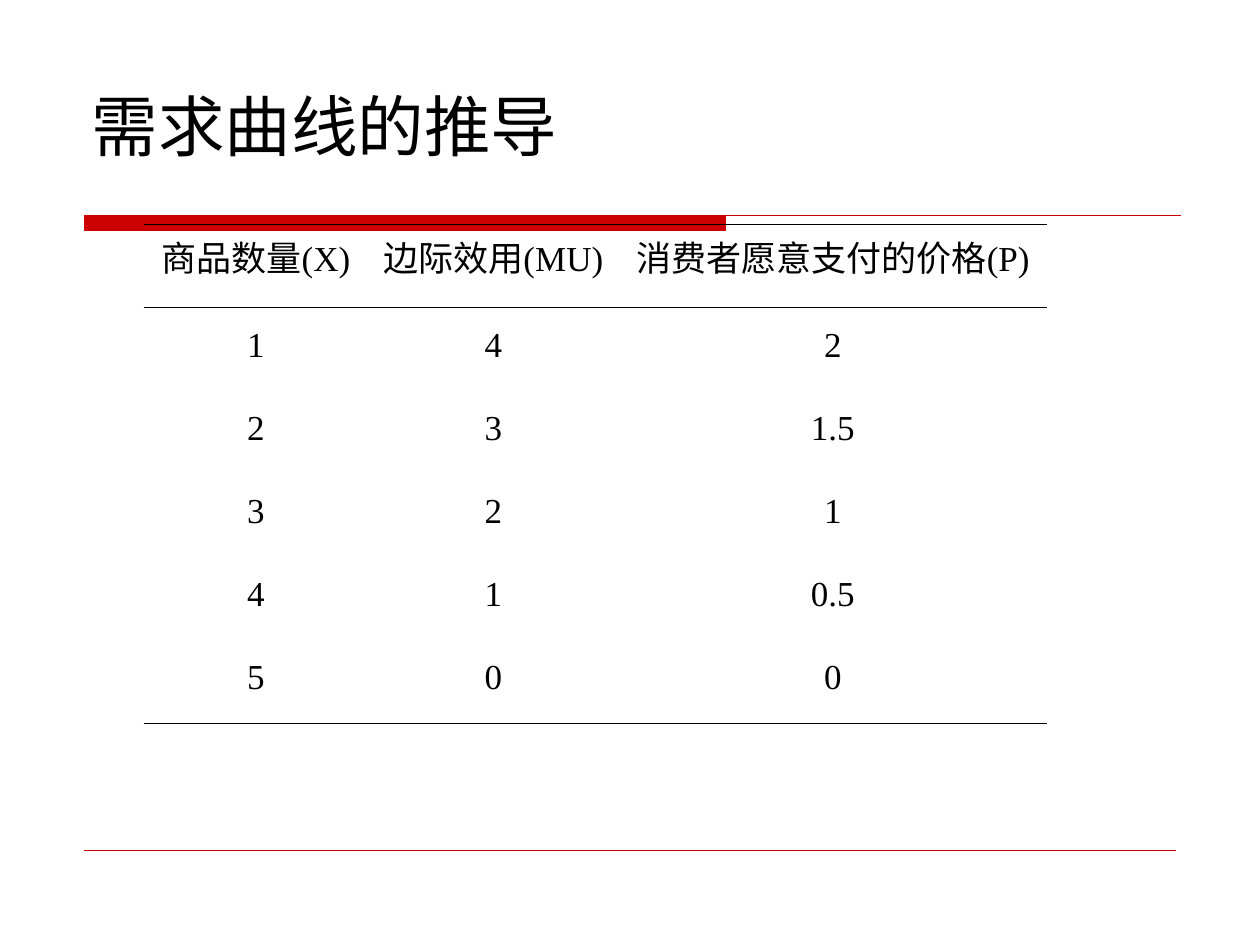
from dataclasses import dataclass

from lxml.etree import SubElement
from pptx import Presentation
from pptx.dml.color import RGBColor
from pptx.enum.shapes import MSO_CONNECTOR
from pptx.enum.text import MSO_ANCHOR, PP_ALIGN
from pptx.oxml import parse_xml
from pptx.oxml.ns import nsdecls, qn
from pptx.util import Inches, Pt


@dataclass(frozen=True)
class Theme:
    red: RGBColor = RGBColor(0xCC, 0x00, 0x00)
    black: RGBColor = RGBColor(0x00, 0x00, 0x00)
    chinese_font: str = "Noto Sans CJK SC"
    latin_font: str = "Times New Roman"
    title_size: Pt = Pt(38)
    table_size: Pt = Pt(20)
    table_spacing: Pt = Pt(18)
    bar_line: Pt = Pt(0.75)
    footer_line: Pt = Pt(0.25)
    table_line: Pt = Pt(0.45)


THEME = Theme()

TITLE = "需求曲线的推导"
DEMAND_ROWS = [
    ("商品数量(X)", "边际效用(MU)", "消费者愿意支付的价格(P)"),
    ("1", "4", "2"),
    ("2", "3", "1.5"),
    ("3", "2", "1"),
    ("4", "1", "0.5"),
    ("5", "0", "0"),
]
COLUMN_WIDTHS = (1.78, 1.99, 3.4)
ROW_HEIGHT = 0.66


def format_runs(paragraph, latin_font, size):
    for run in paragraph.runs:
        run.font.name = latin_font
        run.font.size = size
        run.font.color.rgb = THEME.black
        east_asian = SubElement(run.font._element, qn("a:ea"))
        east_asian.set("typeface", THEME.chinese_font)


def add_title_bar(slide):
    """Draw the thick bar and the thin rule that runs on from its top edge."""
    left, top = Inches(0.67), Inches(1.71)
    bar_right, bottom, rule_right = Inches(5.76), Inches(1.83), Inches(9.37)
    builder = slide.shapes.build_freeform(left, top)
    builder.add_line_segments([(bar_right, top), (bar_right, bottom), (left, bottom)])
    builder.move_to(left, top)
    builder.add_line_segments([(rule_right, top)], close=False)
    shape = builder.convert_to_shape()
    shape.shadow.inherit = False
    shape.fill.solid()
    shape.fill.fore_color.rgb = THEME.red
    shape.line.color.rgb = THEME.red
    shape.line.width = THEME.bar_line


def add_footer_rule(slide):
    rule = slide.shapes.add_connector(
        MSO_CONNECTOR.STRAIGHT, Inches(0.67), Inches(6.75), Inches(9.33), Inches(6.75)
    )
    rule.line.color.rgb = THEME.red
    rule.line.width = THEME.footer_line
    SubElement(rule._element.spPr, qn("a:effectLst"))


def add_title(slide):
    box = slide.shapes.add_textbox(Inches(0.63), Inches(0.33), Inches(8.75), Inches(1.33))
    text_frame = box.text_frame
    text_frame.word_wrap = True
    text_frame.vertical_anchor = MSO_ANCHOR.MIDDLE
    text_frame.text = TITLE
    format_runs(text_frame.paragraphs[0], THEME.chinese_font, THEME.title_size)


def set_borders(cell, visible_sides):
    """Rule the named sides (T, B) of a cell and clear all the others."""
    properties = cell._tc.get_or_add_tcPr()
    for position, side in enumerate("LRTB"):
        if side in visible_sides:
            fill = f'<a:solidFill><a:srgbClr val="{THEME.black}"/></a:solidFill>'
        else:
            fill = "<a:noFill/>"
        border = parse_xml(
            f'<a:ln{side} {nsdecls("a")} w="{int(THEME.table_line)}">{fill}</a:ln{side}>'
        )
        properties.insert(position, border)


def fill_cell(cell, text, visible_sides):
    cell.fill.background()
    set_borders(cell, visible_sides)
    cell.vertical_anchor = MSO_ANCHOR.MIDDLE
    cell.margin_left = cell.margin_right = Inches(0.08)
    cell.margin_top = cell.margin_bottom = Inches(0.05)
    cell.text_frame.text = text
    paragraph = cell.text_frame.paragraphs[0]
    paragraph.alignment = PP_ALIGN.CENTER
    paragraph.line_spacing = THEME.table_spacing
    format_runs(paragraph, THEME.latin_font, THEME.table_size)


def add_demand_table(slide):
    row_count = len(DEMAND_ROWS)
    table = slide.shapes.add_table(
        row_count, len(COLUMN_WIDTHS), Inches(1.14), Inches(1.78),
        Inches(sum(COLUMN_WIDTHS)), Inches(ROW_HEIGHT * row_count),
    ).table
    table.first_row = False
    table.horz_banding = False
    for column, width in zip(table.columns, COLUMN_WIDTHS):
        column.width = Inches(width)
    ruled_sides = {0: "TB", 1: "T", row_count - 1: "B"}
    for row_index, values in enumerate(DEMAND_ROWS):
        table.rows[row_index].height = Inches(ROW_HEIGHT)
        for column_index, text in enumerate(values):
            cell = table.cell(row_index, column_index)
            fill_cell(cell, text, ruled_sides.get(row_index, ""))


def main():
    presentation = Presentation()
    presentation.slide_width = Inches(10)
    presentation.slide_height = Inches(7.5)
    slide = presentation.slides.add_slide(presentation.slide_layouts[6])
    add_title_bar(slide)
    add_footer_rule(slide)
    add_title(slide)
    add_demand_table(slide)
    presentation.save("out.pptx")


if __name__ == "__main__":
    main()
